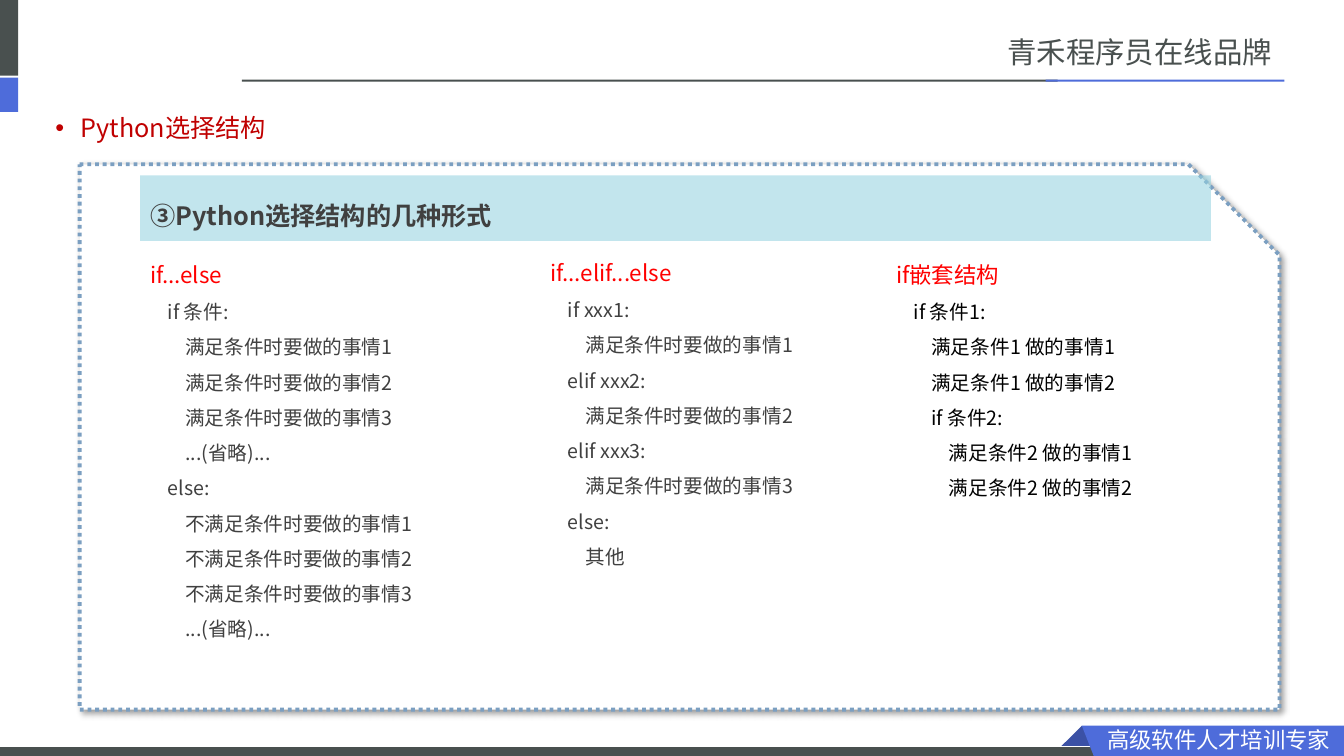
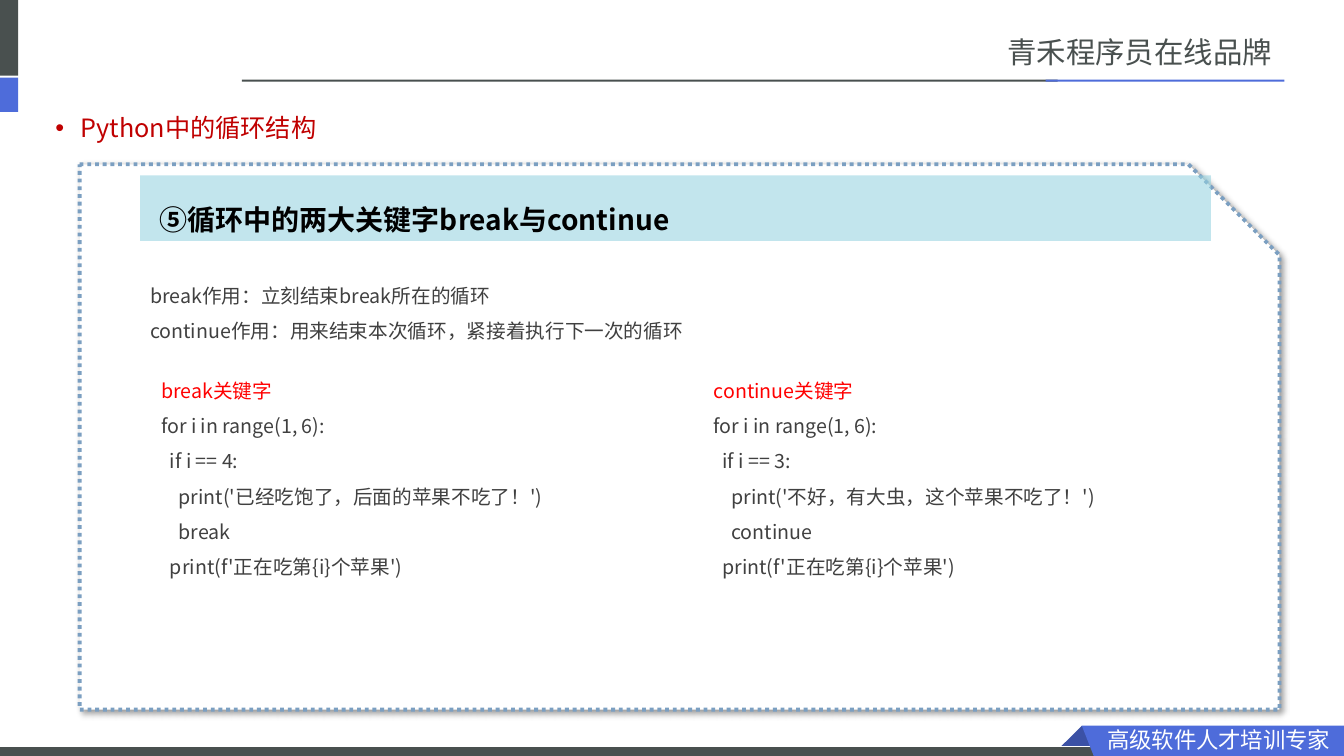
from lxml import etree
from pptx import Presentation
from pptx.dml.color import RGBColor
from pptx.enum import dml, shapes, text
from pptx.oxml import parse_xml
from pptx.oxml.ns import nsdecls, qn
from pptx.util import Inches, Pt

DARK, BLUE, NAVY = "49504F", "4E6CDA", "3B51A5"
WHITE, BLACK, GREY = "FFFFFF", "000000", "404040"
RED, CRIMSON = "FF0000", "C00000"
BANNER, BORDER = "94D2E0", "7B9FC1"
SANS, HEADING = "Noto Sans CJK SC", "Noto Sans CJK JP"


def paint(colour_owner, colour):
    """Give a fill (made solid) or a font the hex colour."""
    if hasattr(colour_owner, "solid"):
        colour_owner.solid()
        colour_owner.fore_color.rgb = RGBColor.from_string(colour)
    else:
        colour_owner.color.rgb = RGBColor.from_string(colour)


class Deck:
    def __init__(self):
        self.prs = Presentation()
        self.prs.slide_width, self.prs.slide_height = Inches(13.33), Inches(7.5)
        self.slide = None

    def finish_shape(self, shape, fill, line=None, width=0.75):
        shape.shadow.inherit = False
        paint(shape.fill, fill)
        if line:
            paint(shape.line.fill, line)
            shape.line.width = Pt(width)
        else:
            shape.line.fill.background()
        return shape

    def block(self, box, fill, line=None, width=0.75,
              kind=shapes.MSO_SHAPE.RECTANGLE):
        shape = self.slide.shapes.add_shape(kind, *map(Inches, box))
        return self.finish_shape(shape, fill, line, width)

    def outline(self, points, fill):
        """Draw a closed, filled polygon."""
        start, *rest = [(Inches(x), Inches(y)) for x, y in points]
        builder = self.slide.shapes.build_freeform(*start, scale=1.0)
        builder.add_line_segments(rest, close=True)
        return self.finish_shape(builder.convert_to_shape(), fill)

    def style(self, paragraph, size, colour, font=SANS, bold=False, spacing=None):
        paragraph.alignment = text.PP_ALIGN.LEFT
        if spacing:
            paragraph.line_spacing = spacing
        for run in paragraph.runs:
            run.font.size, run.font.bold, run.font.name = Pt(size), bold, font
            paint(run.font, colour)
            latin = run.font._element.find(qn("a:latin"))
            latin.addnext(parse_xml(f'<a:ea {nsdecls("a")} typeface="{font}"/>'))

    def label(self, box, words, size, colour, font=SANS, spacing=None):
        """Add a one-paragraph text box with narrow margins."""
        frame = self.slide.shapes.add_textbox(*map(Inches, box)).text_frame
        frame.word_wrap = True
        frame.margin_left = frame.margin_right = Inches(0.05)
        frame.text = words
        self.style(frame.paragraphs[0], size, colour, font, spacing=spacing)
        return frame.paragraphs[0]

    def listing(self, box, lines, heading=None, heading_size=14, colour=GREY):
        """Add evenly spaced lines under an optional red heading."""
        frame = self.slide.shapes.add_textbox(*map(Inches, box)).text_frame
        frame.word_wrap = True
        frame.text = "\n".join(([heading] if heading else []) + lines)
        for index, paragraph in enumerate(frame.paragraphs):
            is_heading = heading and index == 0
            self.style(paragraph, heading_size if is_heading else 14,
                       RED if is_heading else colour, spacing=1.5)

    def topic(self, words):
        paragraph = self.label((0.5, 1.1, 11.7, 0.38), words, 18, CRIMSON,
                               HEADING, 0.9)
        props = paragraph._p.get_or_add_pPr()
        props.set("marL", str(Inches(0.25)))
        props.set("indent", str(-Inches(0.25)))
        etree.SubElement(props, qn("a:buFont")).set("typeface", "Arial")
        etree.SubElement(props, qn("a:buChar")).set("char", "•")

    def card(self):
        """Draw the dotted, shadowed panel behind the content."""
        card = self.block((0.79, 1.63, 11.9, 5.41), WHITE, BORDER, 2.75,
                          shapes.MSO_SHAPE.SNIP_1_RECTANGLE)
        card.line.dash_style = dml.MSO_LINE.ROUND_DOT
        effects = card._element.spPr.find(qn("a:effectLst"))
        effects.append(parse_xml(
            f'<a:outerShdw {nsdecls("a")} blurRad="{Pt(4)}" dist="{Pt(3)}" '
            'dir="2700000" algn="tl" rotWithShape="0"><a:srgbClr val="000000">'
            '<a:alpha val="40000"/></a:srgbClr></a:outerShdw>'))

    def banner(self, words, size, colour, left=0.1, top=0.05):
        banner = self.block((1.39, 1.74, 10.62, 0.65), BANNER)
        tint = banner._element.spPr.find(qn("a:solidFill"))[0]
        etree.SubElement(tint, qn("a:alpha")).set("val", "56000")
        frame = banner.text_frame
        frame.word_wrap = True
        frame.vertical_anchor = text.MSO_ANCHOR.MIDDLE
        frame.margin_left, frame.margin_top = Inches(left), Inches(top)
        frame.text = words
        self.style(frame.paragraphs[0], size, colour, bold=True, spacing=Pt(31.4))

    def new_slide(self, topic):
        """Start a slide with the shared header, footer, topic and card."""
        self.slide = self.prs.slides.add_slide(self.prs.slide_layouts[6])
        self.block((-0.06, -0.01, 0.24, 0.76), DARK)
        self.block((2.4, 0.79, 8.09, 0.02), DARK)
        self.block((10.37, 0.79, 2.37, 0.02), BLUE)
        self.block((-0.06, 0.77, 0.24, 0.34), BLUE)
        self.outline([(10.73, 7.2), (10.95, 7.42), (10.94, 7.43),
                      (10.52, 7.43), (10.51, 7.42)], NAVY)
        self.block((-0.01, 7.41, 11, 0.12), DARK, WHITE)
        self.outline([(10.73, 7.2), (13.33, 7.2), (13.33, 7.54),
                      (10.86, 7.53)], BLUE)
        self.label((10.93, 7.15, 2.35, 0.36), "高级软件人才培训专家", 16, WHITE)
        self.label((9.94, 0.29, 2.8, 0.45), "青禾程序员在线品牌", 21, DARK)
        self.card()
        self.topic(topic)


def selection_slide(deck):
    deck.new_slide("Python选择结构")
    deck.listing((1.39, 2.41, 3.29, 4.04), [
        "    if 条件:",
        "        满足条件时要做的事情1",
        "        满足条件时要做的事情2",
        "        满足条件时要做的事情3",
        "        ...(省略)...",
        "    else:",
        "        不满足条件时要做的事情1",
        "        不满足条件时要做的事情2",
        "        不满足条件时要做的事情3",
        "        ...(省略)...",
    ], "if...else", 16)
    deck.listing((5.36, 2.39, 3.33, 3.33), [
        "    if xxx1:",
        "        满足条件时要做的事情1",
        "    elif xxx2:",
        "        满足条件时要做的事情2",
        "    elif xxx3:",
        "        满足条件时要做的事情3",
        "    else:",
        "        其他",
    ], "if...elif...else", 16)
    deck.listing((8.79, 2.41, 3.24, 2.62), [
        "    if 条件1:",
        "        满足条件1 做的事情1",
        "        满足条件1 做的事情2",
        "        if 条件2:",
        "            满足条件2 做的事情1",
        "            满足条件2 做的事情2",
    ], "if嵌套结构", 16, BLACK)
    deck.banner("③Python选择结构的几种形式", 18, GREY)


def loop_slide(deck):
    deck.new_slide("Python中的循环结构")
    deck.banner("⑤循环中的两大关键字break与continue", 20, BLACK, 0.19, 0.16)
    deck.listing((1.39, 2.65, 10.82, 0.8), [
        "break作用：立刻结束break所在的循环",
        "continue作用：用来结束本次循环，紧接着执行下一次的循环",
    ])
    examples = [
        (1.5, "break", 4, "已经吃饱了，后面的苹果不吃了！"),
        (6.98, "continue", 3, "不好，有大虫，这个苹果不吃了！"),
    ]
    for left, keyword, stop, message in examples:
        deck.listing((left, 3.59, 5.03, 2.57), [
            "for i in range(1, 6):",
            f"  if i == {stop}:",
            f"    print('{message}')",
            f"    {keyword}",
            "  print(f'正在吃第{i}个苹果')",
        ], f"{keyword}关键字")


def main():
    deck = Deck()
    selection_slide(deck)
    loop_slide(deck)
    deck.prs.save("out.pptx")


if __name__ == "__main__":
    main()
